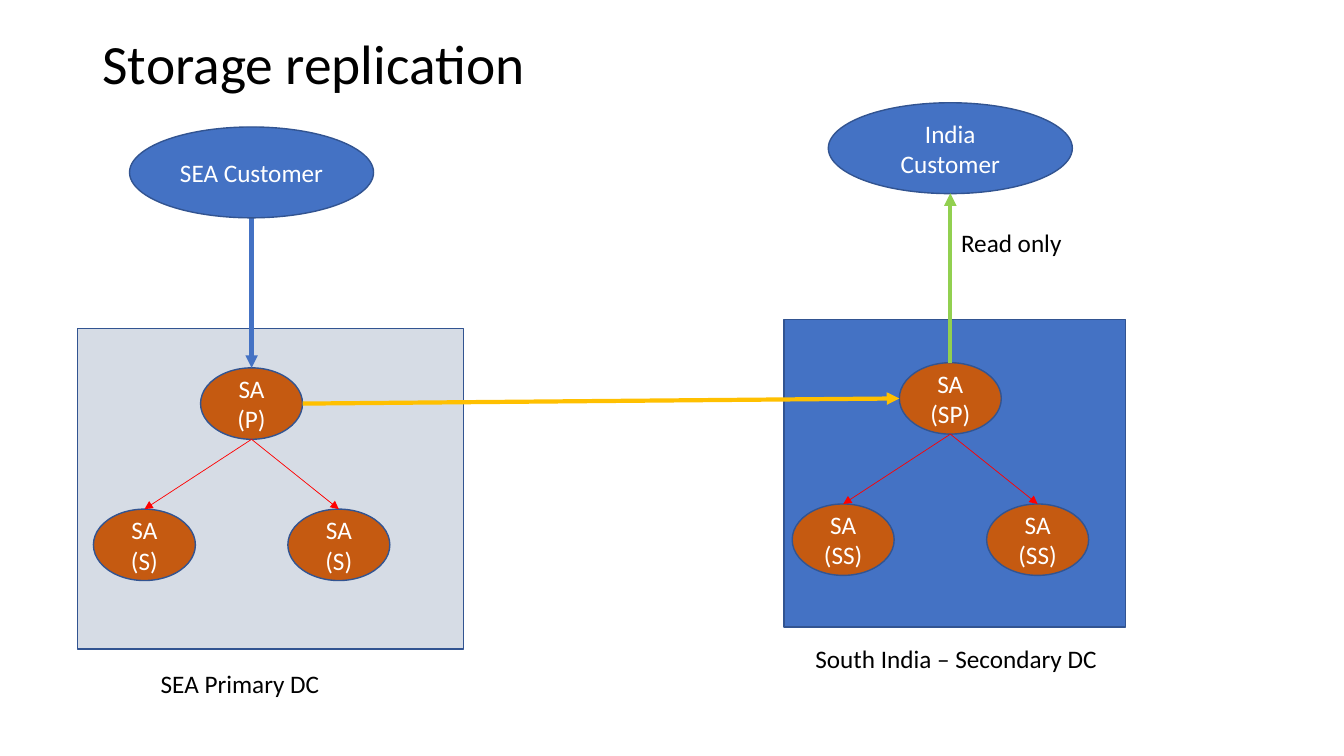
from pptx import Presentation
from pptx.dml.color import RGBColor
from pptx.enum import shapes, text
from pptx.oxml import parse_xml
from pptx.oxml.ns import nsdecls, qn
from pptx.util import Cm, Pt

COLORS = {
    "white": "FFFFFF", "black": "000000", "outline": "325491",
    "blue": "4472C4", "pale": "D6DCE5", "orange": "C55A11",
    "red": "FF0000", "gold": "FFC000", "green": "92D050",
}
ACCOUNT_WIDTH, ACCOUNT_HEIGHT = 2.57, 1.8
CUSTOMER_WIDTH, CUSTOMER_HEIGHT = 6.15, 2.29
REPLICA_DROP = 3.56
REPLICA_SHIFTS = (-2.7, 2.2)

presentation = Presentation()
presentation.slide_width = Cm(33.87)
presentation.slide_height = Cm(19.05)
slide = presentation.slides.add_slide(presentation.slide_layouts[5])


def add_node(kind, left, top, width, height, fill, label=""):
    shape = slide.shapes.add_shape(kind, Cm(left), Cm(top), Cm(width), Cm(height))
    shape.shadow.inherit = False
    shape.fill.solid()
    shape.fill.fore_color.rgb = RGBColor.from_string(COLORS[fill])
    shape.line.color.rgb = RGBColor.from_string(COLORS["outline"])
    shape.line.width = Pt(1)
    if label:
        frame = shape.text_frame
        frame.text = label
        frame.word_wrap = True
        frame.vertical_anchor = text.MSO_ANCHOR.MIDDLE
        paragraph = frame.paragraphs[0]
        paragraph.alignment = text.PP_ALIGN.CENTER
        paragraph.font.name = "Calibri"
        paragraph.font.size = Pt(18)
        paragraph.font.color.rgb = RGBColor.from_string(COLORS["white"])


def add_arrow(start_x, start_y, end_x, end_y, color, weight):
    connector = slide.shapes.add_connector(
        shapes.MSO_CONNECTOR.STRAIGHT, Cm(start_x), Cm(start_y), Cm(end_x), Cm(end_y))
    connector.line.color.rgb = RGBColor.from_string(COLORS[color])
    connector.line.width = Pt(weight)
    properties = connector._element.spPr
    properties.find(qn("a:ln")).append(
        parse_xml(f'<a:tailEnd {nsdecls("a")} type="triangle"/>'))
    properties.append(parse_xml(f'<a:effectLst {nsdecls("a")}/>'))


title = slide.shapes.title
title.left, title.top, title.width, title.height = Cm(2.33), Cm(1.02), Cm(29.21), Cm(1.32)
title.text_frame.text = "Storage replication"
title.text_frame.vertical_anchor = text.MSO_ANCHOR.MIDDLE
heading = title.text_frame.paragraphs[0]
heading.alignment = text.PP_ALIGN.LEFT
heading.line_spacing = 0.9
heading.font.name = "Calibri"
heading.font.size = Pt(39.6)
heading.font.color.rgb = RGBColor.from_string(COLORS["black"])

RECTANGLE, OVAL = shapes.MSO_SHAPE.RECTANGLE, shapes.MSO_SHAPE.OVAL
add_node(RECTANGLE, 1.96, 8.28, 9.73, 8.08, "pale")
add_node(RECTANGLE, 19.76, 8.05, 8.61, 7.75, "blue")

sites = [
    (6.34, 9.27, "SA (P)", "SA (S)"),
    (23.95, 9.14, "SA (SP)", "SA (SS)"),
]
for center, top, main_label, replica_label in sites:
    accounts = [(center, top, main_label)]
    accounts += [(center + shift, top + REPLICA_DROP, replica_label)
                 for shift in REPLICA_SHIFTS]
    for middle, account_top, label in accounts:
        add_node(OVAL, middle - ACCOUNT_WIDTH / 2, account_top,
                 ACCOUNT_WIDTH, ACCOUNT_HEIGHT, "orange", label)
    for shift in REPLICA_SHIFTS:
        add_arrow(center, top + ACCOUNT_HEIGHT,
                  center + shift, top + REPLICA_DROP, "red", 0.5)

(sea_x, sea_y, *_), (india_x, india_y, *_) = sites
add_arrow(sea_x + ACCOUNT_WIDTH / 2, sea_y + ACCOUNT_HEIGHT / 2,
          india_x - ACCOUNT_WIDTH / 2, india_y + ACCOUNT_HEIGHT / 2, "gold", 3)
add_arrow(sea_x, 4.52, sea_x, sea_y, "blue", 3)

for center, top, label in [(sea_x, 3.2, "SEA Customer"), (india_x, 2.59, "India Customer")]:
    add_node(OVAL, center - CUSTOMER_WIDTH / 2, top,
             CUSTOMER_WIDTH, CUSTOMER_HEIGHT, "blue", label)
add_arrow(india_x, india_y, india_x, 4.87, "green", 3)

captions = [
    ("SEA Primary DC", 3.8, 16.72, 6.3),
    ("South India – Secondary DC", 20.3, 16.09, 8.4),
    ("Read only", 23.97, 5.61, 5.44),
]
for caption, left, top, width in captions:
    box = slide.shapes.add_textbox(Cm(left), Cm(top), Cm(width), Cm(1.03))
    box.text_frame.word_wrap = True
    box.text_frame.auto_size = text.MSO_AUTO_SIZE.SHAPE_TO_FIT_TEXT
    box.text_frame.text = caption
    paragraph = box.text_frame.paragraphs[0]
    paragraph.font.name = "Calibri"
    paragraph.font.size = Pt(18)
    paragraph.font.color.rgb = RGBColor.from_string(COLORS["black"])

presentation.save("out.pptx")
